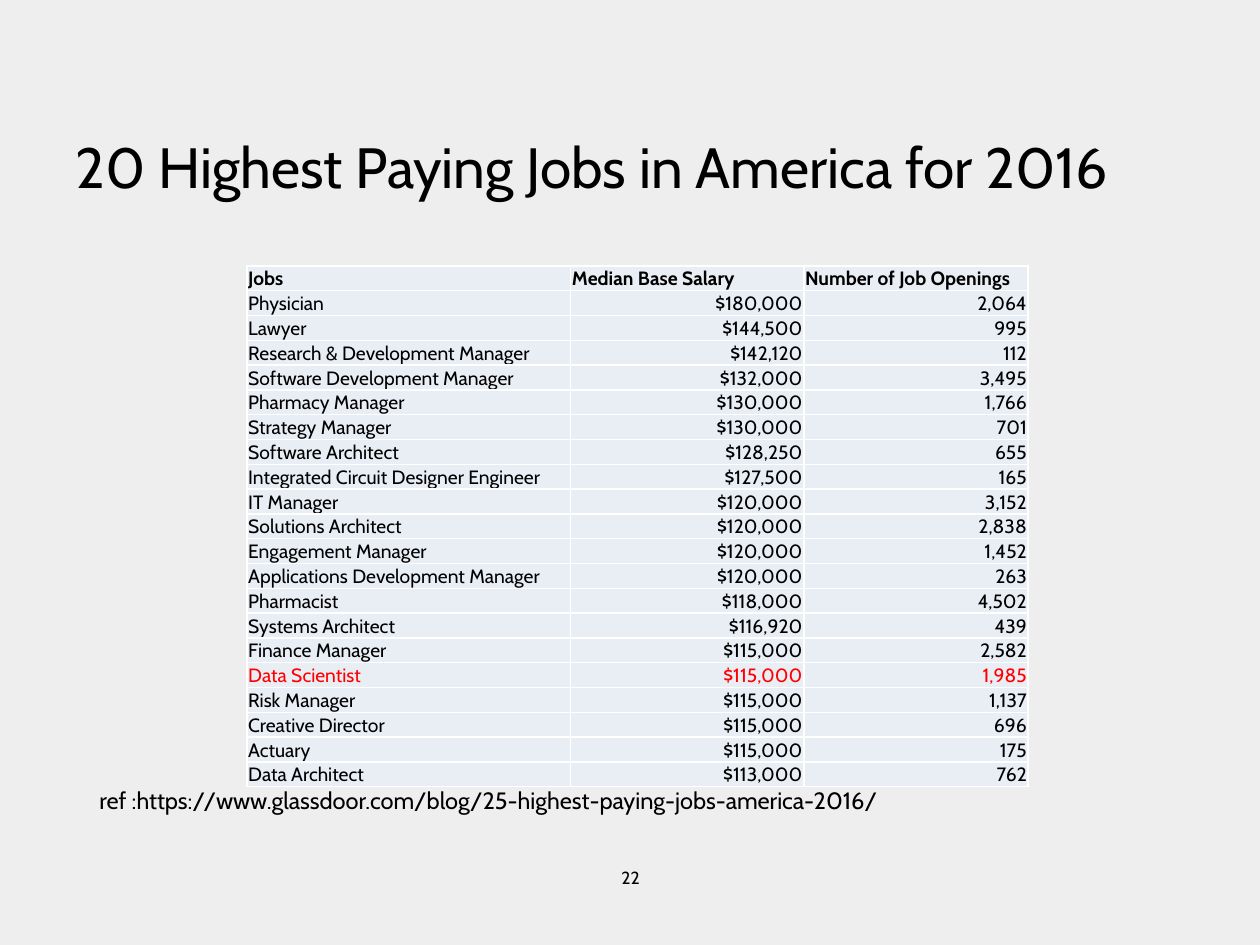
import dataclasses

import pptx
import pptx.dml.color
import pptx.enum.text
import pptx.oxml
import pptx.oxml.ns
import pptx.util

Inches = pptx.util.Inches
RGBColor = pptx.dml.color.RGBColor
Align = pptx.enum.text.PP_ALIGN
Anchor = pptx.enum.text.MSO_ANCHOR


@dataclasses.dataclass(frozen=True)
class Theme:
    font: str = "Cabin"
    background: str = "EEEEEE"
    text: str = "000000"
    highlight: str = "FF0000"
    cell: str = "E9EDF4"
    border: str = "FFFFFF"
    title_size: float = 32.4
    table_size: float = 11
    reference_size: float = 13.5
    number_size: float = 10


theme = Theme()


def write_text(frame, text, size, color=theme.text, bold=False, align=Align.LEFT):
    frame.word_wrap = True
    paragraph = frame.paragraphs[0]
    paragraph.alignment = align
    run = paragraph.add_run()
    run.text = text
    run.font.name = theme.font
    run.font.size = pptx.util.Pt(size)
    run.font.bold = bold
    run.font.color.rgb = RGBColor.from_string(color)


def add_borders(cell):
    properties = cell._tc.get_or_add_tcPr()
    for side in ("lnL", "lnR", "lnT", "lnB"):
        properties.append(pptx.oxml.parse_xml(
            f'<a:{side} {pptx.oxml.ns.nsdecls("a")} w="12700"><a:solidFill>'
            f'<a:srgbClr val="{theme.border}"/></a:solidFill></a:{side}>'))


presentation = pptx.Presentation()
presentation.slide_width = Inches(10)
presentation.slide_height = Inches(7.5)
slide = presentation.slides.add_slide(presentation.slide_layouts.get_by_name("Title Only"))
slide.background.fill.solid()
slide.background.fill.fore_color.rgb = RGBColor.from_string(theme.background)

title = slide.shapes.title
title.left, title.top = Inches(0.5), Inches(0.39)
title.width, title.height = Inches(9), Inches(1.25)
title.text_frame.auto_size = pptx.enum.text.MSO_AUTO_SIZE.NONE
title.text_frame.vertical_anchor = Anchor.BOTTOM
write_text(title.text_frame, "20 Highest Paying Jobs in America for 2016", theme.title_size)

headings = ("Jobs", "Median Base Salary", "Number of Job Openings")
jobs = [
    ("Physician", 180000, 2064),
    ("Lawyer", 144500, 995),
    ("Research & Development Manager", 142120, 112),
    ("Software Development Manager", 132000, 3495),
    ("Pharmacy Manager", 130000, 1766),
    ("Strategy Manager", 130000, 701),
    ("Software Architect", 128250, 655),
    ("Integrated Circuit Designer Engineer", 127500, 165),
    ("IT Manager", 120000, 3152),
    ("Solutions Architect", 120000, 2838),
    ("Engagement Manager", 120000, 1452),
    ("Applications Development Manager", 120000, 263),
    ("Pharmacist", 118000, 4502),
    ("Systems Architect", 116920, 439),
    ("Finance Manager", 115000, 2582),
    ("Data Scientist", 115000, 1985),
    ("Risk Manager", 115000, 1137),
    ("Creative Director", 115000, 696),
    ("Actuary", 115000, 175),
    ("Data Architect", 113000, 762),
]
rows = [headings] + [(job, f"${salary:,}", f"{openings:,}") for job, salary, openings in jobs]

table = slide.shapes.add_table(
    len(rows), len(headings), Inches(1.96), Inches(2.11), Inches(6.2), Inches(4.01)).table
for column, width in zip(table.columns, (2.57, 1.85, 1.78)):
    column.width = Inches(width)

for row_index, row in enumerate(rows):
    is_heading = row_index == 0
    color = theme.highlight if row[0] == "Data Scientist" else theme.text
    for column_index, text in enumerate(row):
        cell = table.cell(row_index, column_index)
        cell.margin_left = cell.margin_right = cell.margin_top = Inches(0.01)
        cell.margin_bottom = 0
        cell.vertical_anchor = Anchor.MIDDLE
        add_borders(cell)
        cell.fill.solid()
        cell.fill.fore_color.rgb = RGBColor.from_string(theme.cell)
        align = Align.LEFT if is_heading or column_index == 0 else Align.RIGHT
        write_text(cell.text_frame, text, theme.table_size,
                   color=color, bold=is_heading, align=align)

page_number = slide.shapes.add_textbox(Inches(3.42), Inches(6.83), Inches(3.17), Inches(0.52))
write_text(page_number.text_frame, "22", theme.number_size, align=Align.CENTER)

reference = slide.shapes.add_textbox(Inches(0.69), Inches(6.19), Inches(6.51), Inches(0.33))
reference.text_frame.auto_size = pptx.enum.text.MSO_AUTO_SIZE.SHAPE_TO_FIT_TEXT
write_text(reference.text_frame,
           "ref :https://www.glassdoor.com/blog/25-highest-paying-jobs-america-2016/",
           theme.reference_size)

presentation.save("out.pptx")
